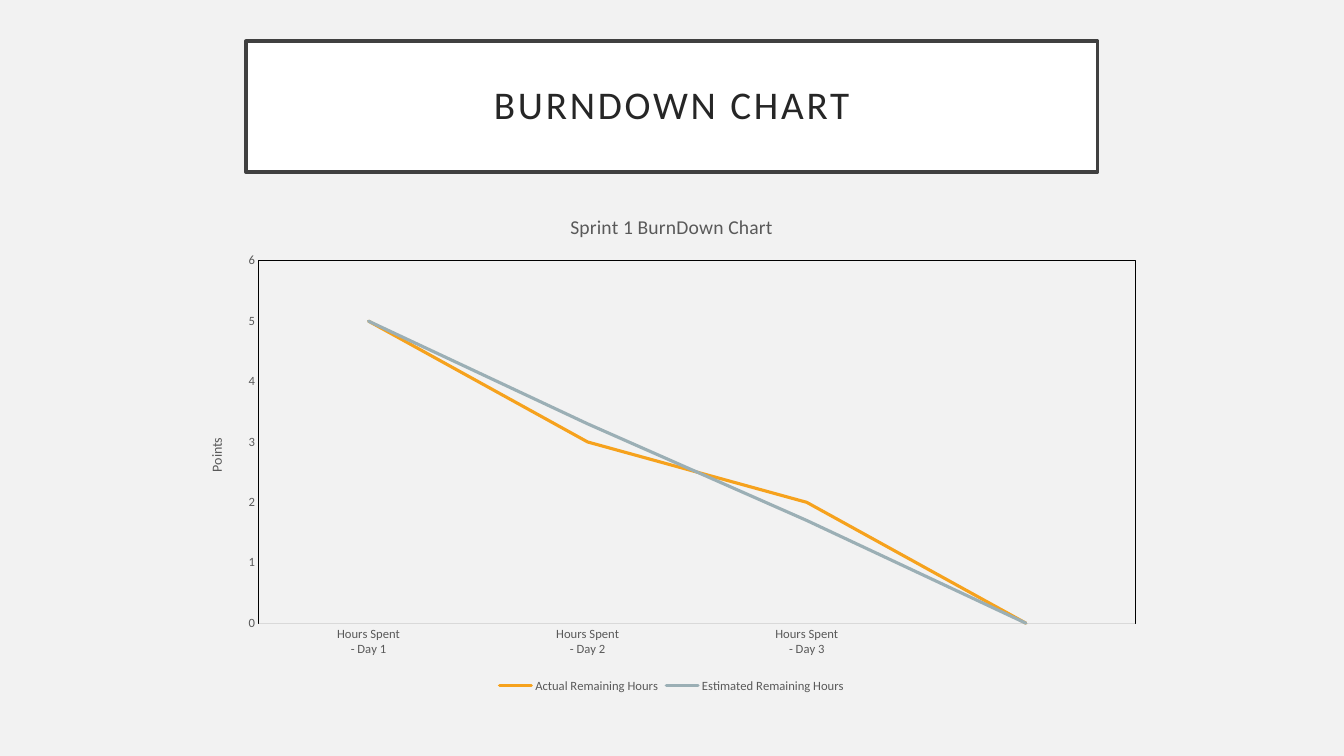
from lxml import etree
from pptx import Presentation, util as u
from pptx.chart import data as chart_data
from pptx.dml import color
from pptx.enum import chart as charts, shapes, text
from pptx.oxml import ns, parse_xml

FONT = "Calibri"
MUTED = "595959"


def rgb(value):
    return color.RGBColor.from_string(value)


def style_font(font, size, tint):
    font.name = FONT
    font.size = u.Pt(size)
    font.bold = False
    font.color.rgb = rgb(tint)


def write_text(frame, words, size=10, tint=MUTED, tracking=0, spacing=None):
    paragraph = frame.paragraphs[0]
    paragraph.alignment = text.PP_ALIGN.CENTER
    if spacing:
        paragraph.line_spacing = spacing
    run = paragraph.add_run()
    run.text = words
    style_font(run.font, size, tint)
    if tracking:
        run.font._element.set("spc", str(tracking * 100))


class SlideBuilder:
    def __init__(self, slide, background):
        self.slide = slide
        fill = slide.background.fill
        fill.solid()
        fill.fore_color.rgb = rgb(background)

    def heading(self, words, left, top, width, height):
        banner = self.slide.shapes.add_shape(
            shapes.MSO_SHAPE.RECTANGLE, u.Cm(left), u.Cm(top), u.Cm(width), u.Cm(height))
        banner.shadow.inherit = False
        banner.fill.solid()
        banner.fill.fore_color.rgb = rgb("FFFFFF")
        banner.line.color.rgb = rgb("404040")
        banner.line.width = u.Pt(2.5)
        frame = banner.text_frame
        frame.word_wrap = True
        frame.vertical_anchor = text.MSO_ANCHOR.MIDDLE
        frame.margin_left = frame.margin_right = u.Cm(0.51)
        frame.margin_top = frame.margin_bottom = u.Cm(0.51)
        write_text(frame, words, size=28, tint="262626", tracking=2, spacing=0.9)

    def line_chart(self, title, value_title, days, series, left, top, width, height):
        data = chart_data.CategoryChartData()
        data.categories = days
        for name, points, _ in series:
            data.add_series(name, points)
        chart = self.slide.shapes.add_chart(
            charts.XL_CHART_TYPE.LINE, u.Cm(left), u.Cm(top),
            u.Cm(width), u.Cm(height), data).chart
        style_font(chart.font, 10, "000000")
        chart.has_title = True
        write_text(chart.chart_title.text_frame, title, size=14)
        chart.chart_title.include_in_layout = False

        chart.has_legend = True
        chart.legend.position = charts.XL_LEGEND_POSITION.BOTTOM
        chart.legend.include_in_layout = False
        style_font(chart.legend.font, 9, MUTED)

        days_axis, points_axis = chart.category_axis, chart.value_axis
        for axis in (days_axis, points_axis):
            axis.has_major_gridlines = False
            axis.major_tick_mark = axis.minor_tick_mark = charts.XL_TICK_MARK.NONE
            style_font(axis.tick_labels.font, 9, MUTED)
        days_axis.format.line.color.rgb = rgb("D9D9D9")
        days_axis.format.line.width = u.Pt(0.75)
        points_axis.format.line.fill.background()
        points_axis.minimum_scale, points_axis.maximum_scale = 0, 6
        points_axis.major_unit = 1
        points_axis.has_title = True
        write_text(points_axis.axis_title.text_frame, value_title)

        plot = chart.plots[0]
        plot.vary_by_categories = False
        for line, (_, _, tint) in zip(plot.series, series):
            line.smooth = False
            line.marker.style = charts.XL_MARKER_STYLE.NONE
            line.format.line.color.rgb = rgb(tint)
            line.format.line.width = u.Pt(2.25)
            line.format.line._get_or_add_ln().set("cap", "rnd")
        self.frame_plot(chart, x=0.074, y=0.132, w=0.905, h=0.721)

    def frame_plot(self, chart, **area):
        plot_area = chart._chartSpace.chart.plotArea
        for old in plot_area.findall(ns.qn("c:layout")):
            plot_area.remove(old)
        layout = parse_xml(f"<c:layout {ns.nsdecls('c')}><c:manualLayout/></c:layout>")
        settings = {"layoutTarget": "inner", "xMode": "edge", "yMode": "edge", **area}
        for tag, value in settings.items():
            etree.SubElement(layout[0], ns.qn(f"c:{tag}")).set("val", str(value))
        plot_area.insert(0, layout)
        plot_area.append(parse_xml(
            f"<c:spPr {ns.nsdecls('c', 'a')}><a:noFill/><a:ln w=\"9525\"><a:solidFill>"
            "<a:srgbClr val=\"000000\"/></a:solidFill></a:ln></c:spPr>"))


def main():
    deck = Presentation()
    deck.slide_width, deck.slide_height = u.Cm(33.87), u.Cm(19.05)
    builder = SlideBuilder(deck.slides.add_slide(deck.slide_layouts[6]), "F2F2F2")
    builder.heading("BURNDOWN CHART", 6.2, 1.04, 21.46, 3.3)
    days = [f"Hours Spent\n- Day {day}" for day in range(1, 4)] + [""]
    remaining = [
        ("Actual Remaining Hours", (5, 3, 2, 0), "F6A21D"),
        ("Estimated Remaining Hours", (5, 3.3, 1.7, 0), "9BAFB5"),
    ]
    builder.line_chart("Sprint 1 BurnDown Chart", "Points", days, remaining,
                       4.72, 4.9, 24.41, 12.67)
    deck.save("out.pptx")


if __name__ == "__main__":
    main()
